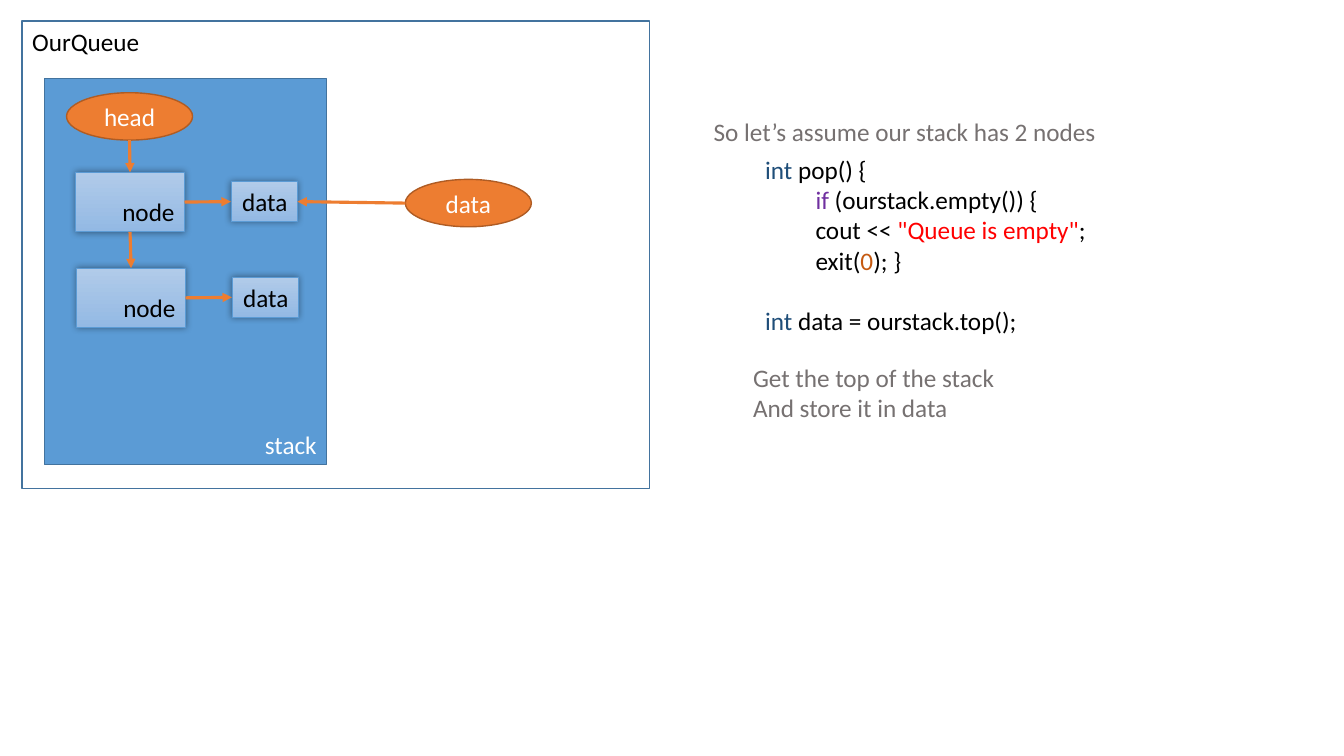
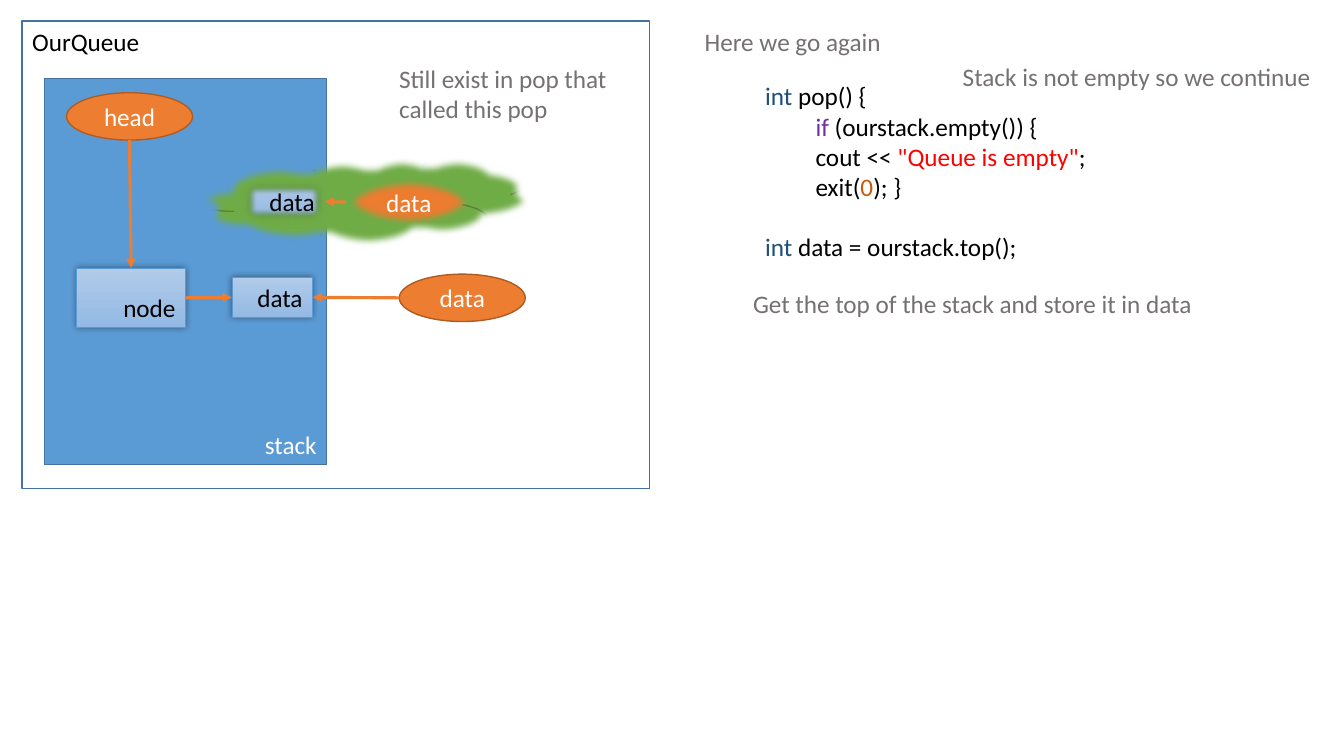
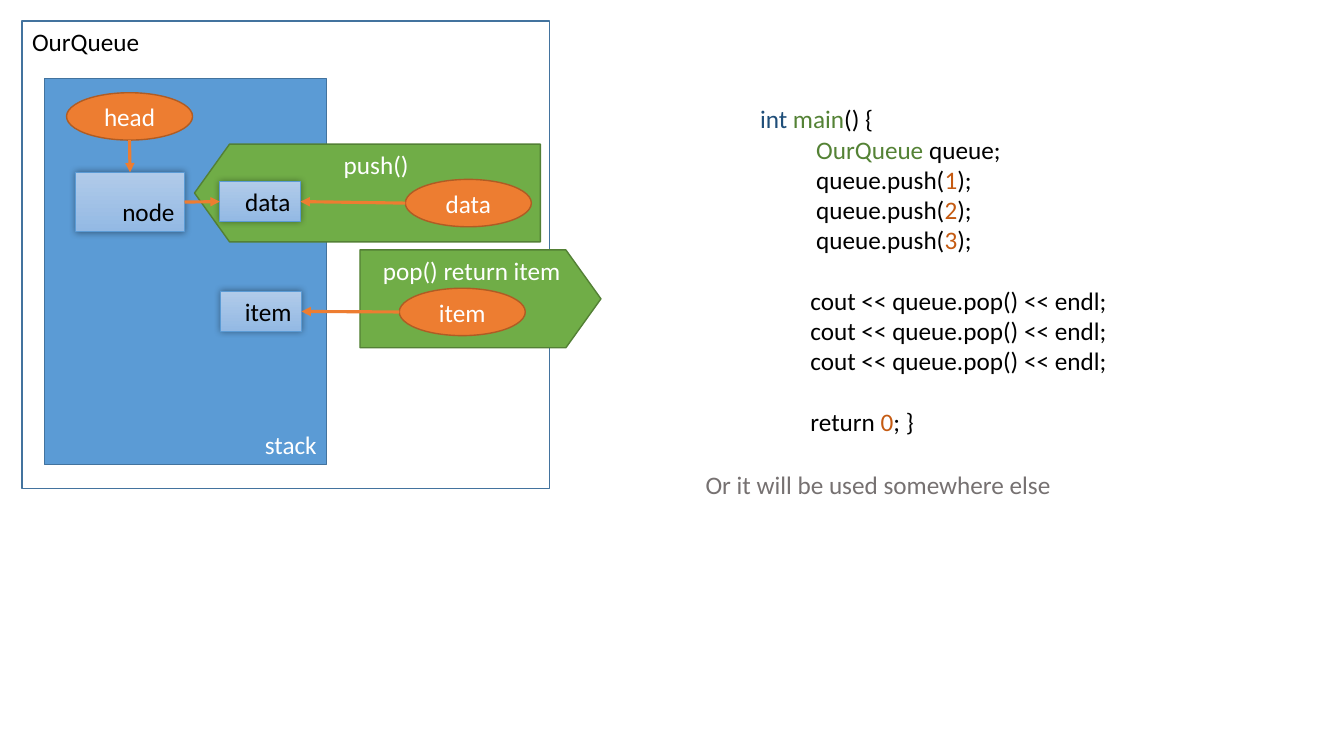
"""Build three slides that show a queue made from a recursive stack."""
from lxml import etree
from pptx import Presentation
from pptx.dml.color import RGBColor
from pptx.enum.shapes import MSO_CONNECTOR, MSO_SHAPE
from pptx.enum.text import MSO_ANCHOR, MSO_AUTO_SIZE, PP_ALIGN
from pptx.oxml.ns import qn
from pptx.util import Inches, Pt

RECTANGLE, ELLIPSE = MSO_SHAPE.RECTANGLE, MSO_SHAPE.OVAL
PENTAGON, CLOUD = MSO_SHAPE.PENTAGON, MSO_SHAPE.CLOUD_CALLOUT
STRAIGHT = MSO_CONNECTOR.STRAIGHT
TOP, MIDDLE, BOTTOM = MSO_ANCHOR.TOP, MSO_ANCHOR.MIDDLE, MSO_ANCHOR.BOTTOM
LEFT, CENTER, RIGHT = PP_ALIGN.LEFT, PP_ALIGN.CENTER, PP_ALIGN.RIGHT
FIT_SHAPE = MSO_AUTO_SIZE.SHAPE_TO_FIT_TEXT

FONT, SIZE, LINE_HEIGHT = "Calibri", 18, 21.6
BLACK, WHITE, GRAY = "000000", "FFFFFF", "767171"
TYPE, KEYWORD, STRING = "1F4E79", "7030A0", "FF0000"
NUMBER, NAME, ORANGE = "C55A11", "548235", "ED7D31"
GRADIENT = ("B1CBE9", "93B9E4")
EFFECT_SIZE = Pt(5)
CODE_INDENT = 0.5

# preset, fill, line colour, line width, text colour, anchor, alignment
STYLES = {
    "queue": (RECTANGLE, None, "43739E", 1, BLACK, TOP, LEFT),
    "stack": (RECTANGLE, "5B9BD5", "43739E", 1, WHITE, BOTTOM, RIGHT),
    "variable": (ELLIPSE, ORANGE, "AF5C24", 1, WHITE, MIDDLE, CENTER),
    "cell": (RECTANGLE, GRADIENT, "5B9BD5", 0.5, BLACK, BOTTOM, RIGHT),
    "call": (PENTAGON, "70AD47", "538035", 1, WHITE, TOP, CENTER),
    "thought": (CLOUD, "70AD47", "538035", 1, WHITE, MIDDLE, CENTER),
}
ADJUSTMENTS = {"call": (0.358,), "thought": (0.308, -0.849)}
VARIABLE_SIZE, NODE_SIZE = (1.25, 0.47), (1.08, 0.59)
NARROW_DATA, WIDE_DATA = (0.66, 0.4), (0.8, 0.4)
FIRST_NODE, SECOND_NODE = (0.75, 1.71, *NODE_SIZE), (0.76, 2.66, *NODE_SIZE)

# indent level, coloured runs; None leaves a gap before the next line
POP_CODE = [
    (0, [("int", TYPE), (" pop() { ", BLACK)]),
    (1, [("if ", KEYWORD), ("(ourstack.empty()) { ", BLACK)]),
    (1, [("cout << ", BLACK), ('"Queue is empty"', STRING), ("; ", BLACK)]),
    (1, [("exit(", BLACK), ("0", NUMBER), ("); } ", BLACK)]),
    None,
    (0, [("int", TYPE), (" data = ourstack.top();", BLACK)]),
]
MAIN_CODE = [
    (0, [("int ", TYPE), ("main", NAME), ("() { ", BLACK)]),
    (1, [(" ", BLACK), ("OurQueue", NAME), (" queue; ", BLACK)]),
    *[(1, [(" queue.push(", BLACK), (value, NUMBER), ("); ", BLACK)]) for value in "123"],
    None,
    *[(1, [("cout << queue.pop() << endl; ", BLACK)])] * 3,
    None,
    (1, [("return ", BLACK), ("0", NUMBER), ("; } ", BLACK)]),
]

# shape: key, style, label, box, optional flags; arrow: start, side, end, side
HEAD_ARROW = ("head", "bottom", "node 1", "top")
DATA_ARROW = ("node 1", "right", "data 1", "left")
VARIABLE_ARROW = ("variable 1", "left", "data 1", "right")
SECOND_ARROW = ("node 2", "right", "data 2", "left")
SLIDES = [
    {
        "queue width": 6.22,
        "diagram": [
            ("node 1", "cell", "node", FIRST_NODE),
            ("data 1", "cell", "data", (2.29, 1.8, *NARROW_DATA)),
            DATA_ARROW,
            HEAD_ARROW,
            ("node 2", "cell", "node", SECOND_NODE),
            ("data 2", "cell", "data", (2.3, 2.75, *NARROW_DATA)),
            SECOND_ARROW,
            ("node 1", "bottom", "node 2", "top"),
            ("variable 1", "variable", "data", (4.02, 1.78, *VARIABLE_SIZE)),
            VARIABLE_ARROW,
        ],
        "code": (POP_CODE, (7.49, 1.48, 3.48, 1.92)),
        "notes": [
            (["Get the top of the stack ", "And store it in data"], (7.37, 3.54, 2.68, 0.71), False),
            (["So let’s assume our stack has 2 nodes"], (6.98, 1.11, 4.08, 0.4), False),
        ],
    },
    {
        "queue width": 6.22,
        "diagram": [
            ("node 2", "cell", "node", SECOND_NODE),
            ("head", "bottom", "node 2", "top"),
            ("data 2", "cell", "data", (2.3, 2.75, *WIDE_DATA)),
            SECOND_ARROW,
            ("variable 2", "variable", "data", (3.96, 2.72, *VARIABLE_SIZE)),
            ("variable 2", "left", "data 2", "right"),
            ("thought", "thought", "", (1.96, 1.56, 3.31, 0.88), "soft"),
            ("variable 1", "variable", "data", (3.43, 1.77, *VARIABLE_SIZE), "soft"),
            ("data 1", "cell", "data", (2.42, 1.8, *WIDE_DATA), "soft"),
            VARIABLE_ARROW,
        ],
        "code": (POP_CODE, (7.49, 0.75, 3.48, 1.92)),
        "notes": [
            (["Get the top of the stack and store it in data"], (7.37, 2.81, 4.61, 0.4), False),
            (["Here we go again"], (6.89, 0.21, 1.97, 0.4), False),
            (["Stack is not empty so we continue"], (9.45, 0.56, 3.69, 0.4), True),
            (["Still exist in pop that called this pop"], (3.86, 0.58, 2.28, 0.71), True),
        ],
    },
    {
        "queue width": 5.23,
        "diagram": [
            ("pop", "call", "pop() return item", (3.57, 2.48, 2.39, 0.97)),
            ("item", "cell", "item", (2.19, 2.89, *WIDE_DATA)),
            ("item variable", "variable", "item", (3.96, 2.86, *VARIABLE_SIZE)),
            ("item variable", "left", "item", "right"),
            ("node 1", "cell", "node", FIRST_NODE),
            HEAD_ARROW,
            ("push", "call", "push()", (1.93, 1.43, 3.43, 0.97), "flip"),
            ("data 1", "cell", "data", (2.18, 1.8, *WIDE_DATA)),
            ("variable 1", "variable", "data", (4.02, 1.78, *VARIABLE_SIZE)),
            VARIABLE_ARROW,
            DATA_ARROW,
        ],
        "code": (MAIN_CODE, (7.44, 0.98, 3.74, 3.43)),
        "notes": [
            (["Or it will be used somewhere else"], (6.9, 4.61, 3.67, 0.4), False),
        ],
    },
]


def rgb(value):
    return RGBColor.from_string(value)


def format_run(run, color):
    run.font.name, run.font.size = FONT, Pt(SIZE)
    run.font.color.rgb = rgb(color)


def add_effects(shape, has_shadow, is_soft):
    shape.shadow.inherit = False
    effects = shape._element.spPr.find(qn("a:effectLst"))
    if has_shadow:
        shadow = etree.SubElement(effects, qn("a:outerShdw"), blurRad=str(EFFECT_SIZE), dist="0", dir="0")
        color = etree.SubElement(shadow, qn("a:srgbClr"), val=BLACK)
        etree.SubElement(color, qn("a:alpha"), val="40000")
    if is_soft:
        etree.SubElement(effects, qn("a:softEdge"), rad=str(EFFECT_SIZE))


def add_shape(slide, style, label, box, flag=""):
    preset, fill, line, width, color, anchor, alignment = STYLES[style]
    shape = slide.shapes.add_shape(preset, *map(Inches, box))
    if fill is None:
        shape.fill.background()
    elif fill is GRADIENT:
        shape.fill.gradient()
        shape.fill.gradient_angle = 270
        for stop, stop_color in zip(shape.fill.gradient_stops, fill):
            stop.color.rgb = rgb(stop_color)
    else:
        shape.fill.solid()
        shape.fill.fore_color.rgb = rgb(fill)
    shape.line.color.rgb = rgb(line)
    shape.line.width = Pt(width)
    for index, value in enumerate(ADJUSTMENTS.get(style, ())):
        shape.adjustments[index] = value
    add_effects(shape, style == "cell", flag == "soft")
    if flag == "flip":
        shape._element.spPr.find(qn("a:xfrm")).set("flipH", "1")
    if label:
        shape.text_frame.text = label
        shape.text_frame.vertical_anchor = anchor
        paragraph = shape.text_frame.paragraphs[0]
        paragraph.alignment = alignment
        format_run(paragraph.runs[0], color)


def side_point(box, side):
    left, top, width, height = box
    return {
        "left": (left, top + height / 2),
        "right": (left + width, top + height / 2),
        "top": (left + width / 2, top),
        "bottom": (left + width / 2, top + height),
    }[side]


def add_arrow(slide, start, end):
    arrow = slide.shapes.add_connector(STRAIGHT, *map(Inches, start + end))
    arrow.line.color.rgb = rgb(ORANGE)
    arrow.line.width = Pt(2.25)
    etree.SubElement(arrow.line._get_or_add_ln(), qn("a:tailEnd"), type="triangle")
    etree.SubElement(arrow._element.spPr, qn("a:effectLst"))


def add_text(slide, lines, box, wrap=False):
    text_frame = slide.shapes.add_textbox(*map(Inches, box)).text_frame
    text_frame.word_wrap = wrap
    text_frame.auto_size = FIT_SHAPE
    paragraph, gap = None, False
    for line in lines:
        if line is None:
            gap = True
            continue
        paragraph = text_frame.add_paragraph() if paragraph else text_frame.paragraphs[0]
        level, runs = line
        if level:
            paragraph._p.get_or_add_pPr().set("marL", str(Inches(level * CODE_INDENT)))
        if gap:
            paragraph.space_before = Pt(LINE_HEIGHT)
            gap = False
        for text, color in runs:
            run = paragraph.add_run()
            run.text = text
            format_run(run, color)


def build_slide(presentation, content):
    slide = presentation.slides.add_slide(presentation.slide_layouts[6])
    frame = [
        ("queue", "queue", "OurQueue", (0.22, 0.21, content["queue width"], 4.64)),
        ("stack", "stack", "stack", (0.44, 0.78, 2.8, 3.83)),
        ("head", "variable", "head", (0.66, 0.92, *VARIABLE_SIZE)),
    ]
    boxes = {}
    for key, kind, *details in frame + content["diagram"]:
        if kind in STYLES:
            boxes[key] = details[1]
            add_shape(slide, kind, *details)
        else:
            target, side = details
            add_arrow(slide, side_point(boxes[key], kind), side_point(boxes[target], side))
    add_text(slide, *content["code"])
    for lines, box, wrap in content["notes"]:
        add_text(slide, [(0, [(line, GRAY)]) for line in lines], box, wrap)


presentation = Presentation()
presentation.slide_width, presentation.slide_height = Inches(13.33), Inches(7.5)
for content in SLIDES:
    build_slide(presentation, content)
presentation.save("out.pptx")
